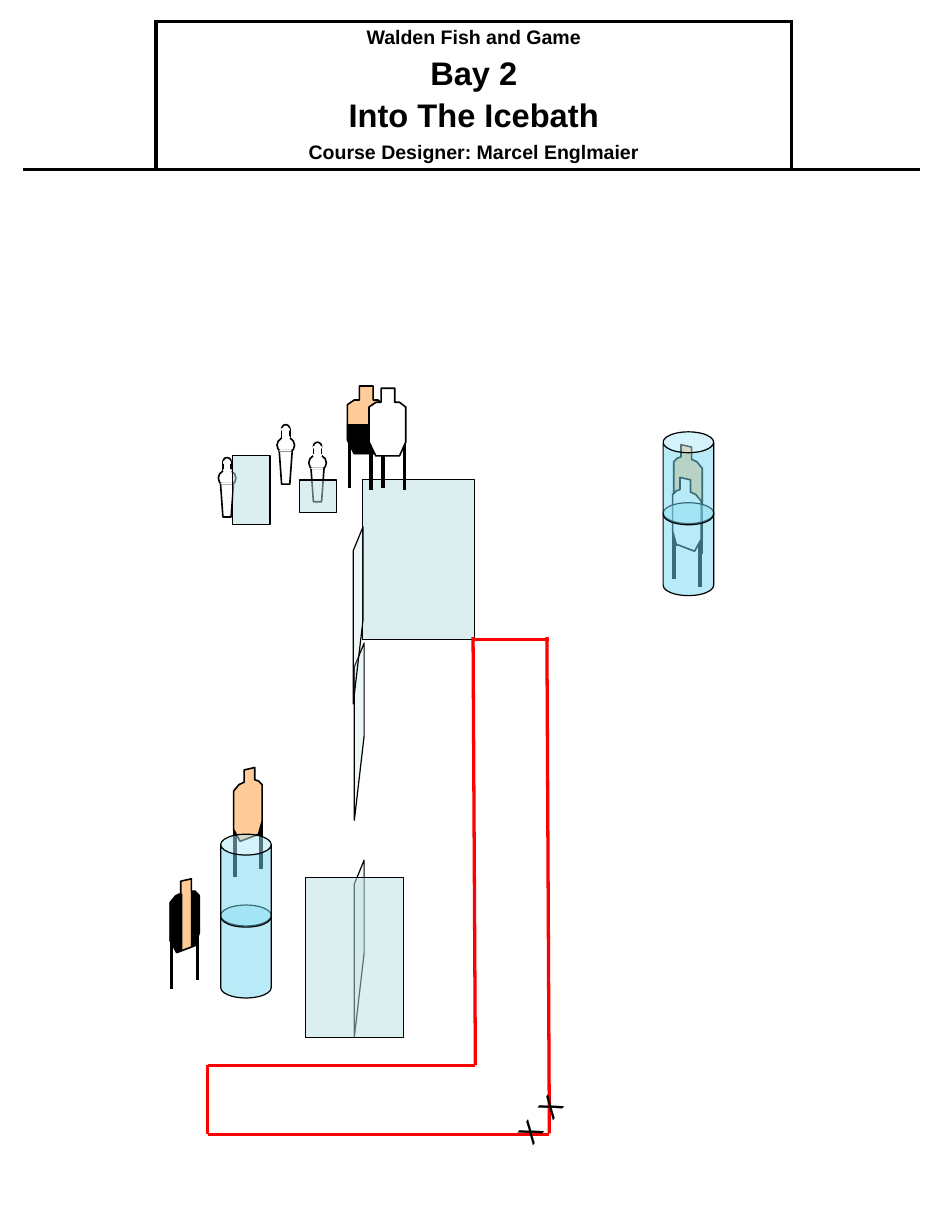
from pptx import Presentation
from pptx.dml.color import RGBColor
from pptx.enum.shapes import MSO_CONNECTOR as CONN, MSO_SHAPE as SHAPE
from pptx.enum.text import MSO_ANCHOR, PP_ALIGN
from pptx.oxml.ns import qn
from pptx.util import Pt
from lxml.etree import SubElement

COLORS = {
    "black": "000000", "white": "FFFFFF", "fault": "FF0000",
    "wall": "BBE0E3", "barrel": "73D9F1", "tan": "FFCC99",
}

# Outlines in points, measured from each object's top left corner
PANEL = [(6, 57), (0, 108.7), (0, 14.6), (6, 0)]
TURNED = [(6.5, 1.5), (13, 0), (13, 7.5), (15.3, 8.3), (17.5, 10.5), (17.5, 33),
          (15.3, 41), (4, 45.3), (0, 38), (0, 14.5), (3.3, 10.5), (6.5, 9)]
TURNED_WIDTH = 17.5
TURNED_LEGS = [(0.8, 36), (16.7, 31)]
TURNED_LEFT = [(0, 38), (4.3, 44.8), (7.2, 44), (7.2, 9.4), (4.3, 10.2), (0, 15)]
TURNED_RIGHT = [(13, 7.7), (15.3, 7.4), (18, 10.3), (18, 33), (15.8, 40.5), (13, 41.8)]
FRONTAL = [(7.4, 0), (15.8, 0), (15.8, 8.6), (18.7, 8.6), (22.5, 11.5), (22.5, 33),
           (18.7, 41.5), (4.2, 41.5), (0, 33), (0, 11.5), (4.2, 8.6), (7.4, 8.6)]
FRONTAL_LEGS = [(1.2, 31), (21.8, 31)]
FRONTAL_LOWER = [(0, 23.8), (22.5, 23.8), (22.5, 33), (18.2, 41.5), (4.2, 41.5), (0, 33)]
LEG_LENGTH = 31.3
POPPER_CONE = [(1.4, 16), (9.4, 16), (7.9, 36.5), (2.9, 36.5)]


def rgb(name):
    return RGBColor.from_string(COLORS[name])


def style(sp, fill, line="black", width=1, opacity=100):
    sp.shadow.inherit = False
    sp.fill.solid()
    sp.fill.fore_color.rgb = rgb(fill)
    if opacity < 100:
        color = sp.fill._xPr.find(qn("a:solidFill"))[0]
        SubElement(color, qn("a:alpha"), val=str(opacity * 1000))
    if line:
        sp.line.color.rgb = rgb(line)
        sp.line.width = Pt(width)
    else:
        sp.line.fill.background()


def add_preset(s, kind, x, y, w, h, *look, **options):
    sp = s.shapes.add_shape(kind, Pt(x), Pt(y), Pt(w), Pt(h))
    style(sp, *look, **options)
    return sp


def add_outline(s, x, y, points, *look, **options):
    points = [(Pt(x + dx), Pt(y + dy)) for dx, dy in points]
    builder = s.shapes.build_freeform(*points[0])
    builder.add_line_segments(points[1:], close=True)
    style(builder.convert_to_shape(), *look, **options)


def add_line(s, x1, y1, x2, y2, color, width):
    line = s.shapes.add_connector(CONN.STRAIGHT, Pt(x1), Pt(y1), Pt(x2), Pt(y2))
    line.line.color.rgb = rgb(color)
    line.line.width = Pt(width)
    SubElement(line._element.spPr, qn("a:effectLst"))


def add_target(s, x, y, outline, legs, fill, patches=()):
    for dx, dy in legs:
        add_line(s, x + dx, y + dy, x + dx, y + dy + LEG_LENGTH, "black", 2.25)
    add_outline(s, x, y, outline, fill)
    for patch in patches:
        add_outline(s, x, y, patch, "black", width=0)


def mirror(points):
    return [(TURNED_WIDTH - x, y) for x, y in points]


def add_popper(s, x, y):
    add_preset(s, SHAPE.OVAL, x + 2.9, y, 5, 5, "white")
    add_preset(s, SHAPE.OVAL, x, y + 7.6, 10.8, 10, "white")
    add_outline(s, x, y, POPPER_CONE, "white")
    add_preset(s, SHAPE.RECTANGLE, x + 2.9, y + 2.6, 5, 5, "white")
    # Strips that hide the seams
    add_preset(s, SHAPE.RECTANGLE, x + 1.5, y + 15.6, 7.4, 0.8, "white", None)
    for dx, dy in [(3.4, 7.6), (3.2, 2.6)]:
        add_preset(s, SHAPE.RECTANGLE, x + dx, y + dy, 4.3, 0.8, "white", "white")


def add_barrel_stack(s, x, y):
    for top in (y + 43.5, y):
        sp = add_preset(s, SHAPE.CAN, x, top, 31, 57, "barrel", width=0.75, opacity=50)
        sp.adjustments[0] = 0.413


def add_panel(s, x, y):
    add_outline(s, x, y, PANEL, "wall", width=0.75, opacity=25)


def add_start_mark(s, x, y):
    sp = s.shapes.add_textbox(Pt(x), Pt(y), Pt(22.3), Pt(28.8))
    sp.rotation = 308.2
    sp.text_frame.word_wrap = False
    p = sp.text_frame.paragraphs[0]
    p.text = "X"
    p.font.size, p.font.name = Pt(18), "Arial"
    p.font.color.rgb = rgb("black")


def set_borders(cell, sides):
    tc_pr = cell._tc.get_or_add_tcPr()
    for side in sides:
        ln = SubElement(tc_pr, qn("a:ln" + side), w=str(Pt(2.25)))
        SubElement(SubElement(ln, qn("a:solidFill")), qn("a:srgbClr"), val=COLORS["black"])


def add_header(s):
    widths = [82, 390, 79]
    frame = s.shapes.add_table(1, 3, Pt(13.7), Pt(13), Pt(sum(widths)), Pt(91))
    table = frame.table
    table.first_row = table.horz_banding = False
    for column, width, cell, sides in zip(table.columns, widths, table.rows[0].cells,
                                          ["RB", "LRTB", "LB"]):
        column.width = Pt(width)
        set_borders(cell, sides)
        cell.fill.solid()
        cell.fill.fore_color.rgb = rgb("white")

    cell = table.cell(0, 1)
    cell.vertical_anchor = MSO_ANCHOR.MIDDLE
    cell.margin_left = cell.margin_right = cell.margin_top = cell.margin_bottom = Pt(3.6)
    tf = cell.text_frame
    lines = [("Walden Fish and Game", 12, 2.4), ("Bay 2", 20, 4),
             ("Into The Icebath", 20, 4), ("Course Designer: Marcel Englmaier", 12, 4.2)]
    for i, (text, size, space) in enumerate(lines):
        p = tf.add_paragraph() if i else tf.paragraphs[0]
        p.text = text
        p.alignment = PP_ALIGN.CENTER
        p.space_before = Pt(space)
        p.font.size, p.font.name, p.font.bold = Pt(size), "Arial", True
        p.font.color.rgb = rgb("black")


def main():
    prs = Presentation()
    prs.slide_width, prs.slide_height = Pt(576), Pt(756)
    s = prs.slides.add_slide(prs.slide_layouts[6])
    add_header(s)

    # Poppers, then the walls in front of them
    for x, y in [(133.9, 280.8), (169.9, 260.6), (189.4, 271.4)]:
        add_popper(s, x, y)
    add_panel(s, 217.4, 527.8)
    for box in [(222.5, 294.5, 68.4, 97.9), (187.2, 538.6, 60.5, 97.9),
                (142.6, 279.4, 23, 42.5), (183.6, 294.5, 23, 20.2)]:
        add_preset(s, SHAPE.RECTANGLE, *box, "wall", width=0.75, opacity=50)

    # Fault lines and start marks
    for ends in [(337, 695.5, 335.5, 391), (337, 696, 127.4, 696),
                 (127.4, 696, 127.4, 653.8), (291.6, 653.8, 127.4, 653.8),
                 (337, 392.4, 290.2, 392.4), (291.6, 653.8, 290.2, 391)]:
        add_line(s, *ends, "fault", 2)
    for x, y in [(312.5, 681.8), (324.7, 666)]:
        add_start_mark(s, x, y)

    # Turned targets and barrels
    add_target(s, 104.4, 539.3, TURNED, TURNED_LEGS, "tan", [TURNED_LEFT, TURNED_RIGHT])
    add_target(s, 143.3, 471, TURNED, TURNED_LEGS, "tan")
    add_barrel_stack(s, 135.4, 511.9)
    for x, y, fill in [(413.3, 272.9, "tan"), (412.6, 293, "white")]:
        add_target(s, x, y, mirror(TURNED), mirror(TURNED_LEGS), fill)
    add_barrel_stack(s, 406.8, 265)

    # Upper panels and frontal targets
    for x, y in [(217.4, 394.6), (216.7, 323.3)]:
        add_panel(s, x, y)
    add_target(s, 213.1, 236.9, FRONTAL, FRONTAL_LEGS, "tan", [FRONTAL_LOWER])
    add_target(s, 226.4, 238.3, FRONTAL, FRONTAL_LEGS, "white")

    prs.save("out.pptx")


if __name__ == "__main__":
    main()
